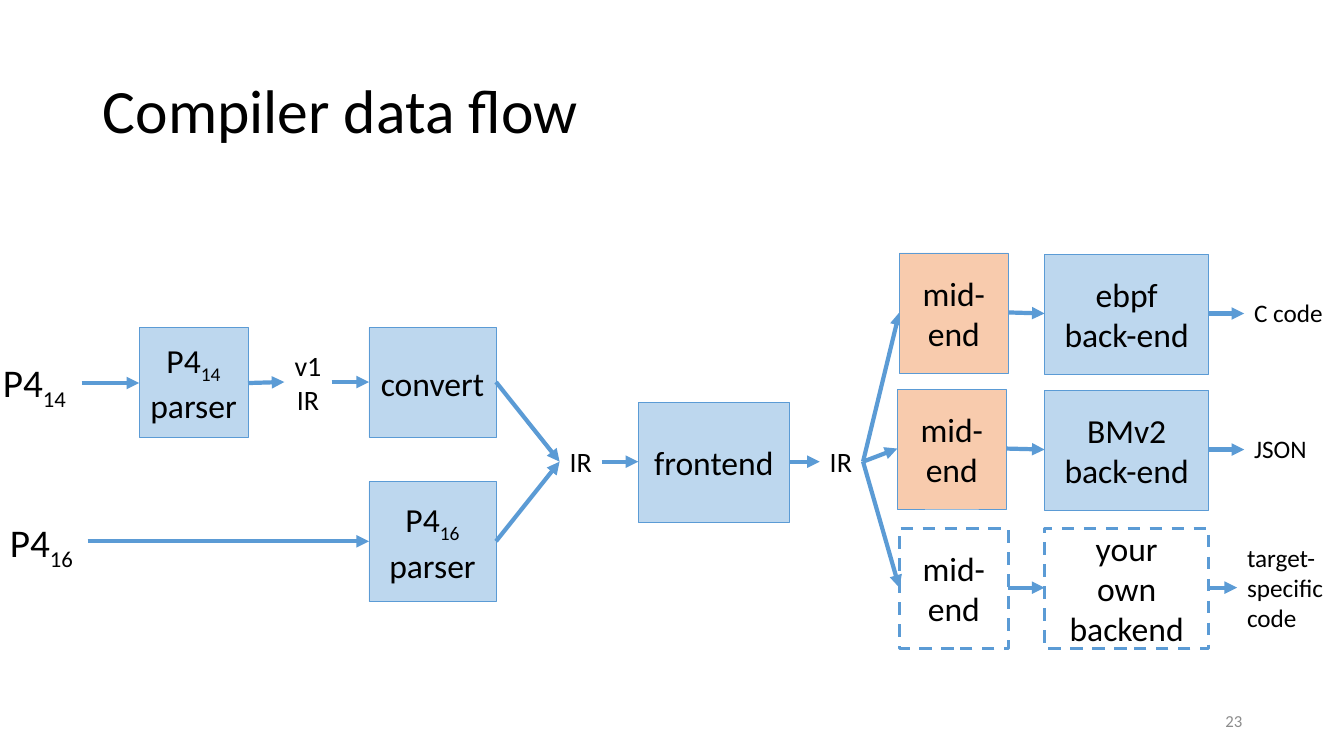
"""Build the compiler data flow slide."""
import pptx
import pptx.dml.color
import pptx.enum.dml
import pptx.enum.shapes
import pptx.enum.text
import pptx.oxml.ns
import pptx.util
from lxml import etree

Inches = pptx.util.Inches
Pt = pptx.util.Pt
RGBColor = pptx.dml.color.RGBColor
ALIGN = pptx.enum.text.PP_ALIGN
ANCHOR = pptx.enum.text.MSO_ANCHOR
AUTO = pptx.enum.text.MSO_AUTO_SIZE

BLACK = RGBColor(0x00, 0x00, 0x00)
GRAY = RGBColor(0x8C, 0x8C, 0x8C)
BLUE = RGBColor(0x5B, 0x9B, 0xD5)
PALE_BLUE = RGBColor(0xBD, 0xD7, 0xEE)
PEACH = RGBColor(0xF8, 0xCB, 0xAD)

BOX_FRAME = {"word_wrap": True, "vertical_anchor": ANCHOR.MIDDLE}
TITLE_FRAME = {**BOX_FRAME, "auto_size": AUTO.NONE}
LABEL_FRAME = {"auto_size": AUTO.SHAPE_TO_FIT_TEXT, "vertical_anchor": ANCHOR.TOP}


def apply(obj, values):
    """Set each attribute named in values."""
    for name, value in values.items():
        setattr(obj, name, value)


def write(tf, text, size, align, frame, color=BLACK):
    """Fill a frame; newline starts a paragraph, \\v a line, _ a subscript."""
    apply(tf, frame)
    for i, line in enumerate(text.split("\n")):
        p = tf.paragraphs[0] if i == 0 else tf.add_paragraph()
        base, _, sub = line.partition("_")
        p.text = base
        p.alignment = align
        if sub:
            r = p.add_run()
            r.text = sub
            r.font._element.set("baseline", "-25000")
        for r in p.runs:
            apply(r.font, {"name": "Calibri", "size": Pt(size)})
            r.font.color.rgb = color


def add_box(s, text, x, y, w, h=1.19, fill=PALE_BLUE):
    """Add a stage box, dashed and hollow when it has no fill."""
    sp = s.shapes.add_shape(pptx.enum.shapes.MSO_SHAPE.RECTANGLE,
                            Inches(x), Inches(y), Inches(w), Inches(h))
    sp.shadow.inherit = False
    sp.line.color.rgb = BLUE
    if fill is None:
        sp.fill.background()
        apply(sp.line, {"width": Pt(2.25),
                        "dash_style": pptx.enum.dml.MSO_LINE.DASH})
    else:
        sp.fill.solid()
        sp.fill.fore_color.rgb = fill
        sp.line.width = Pt(0.5)
    write(sp.text_frame, text, 24, ALIGN.CENTER, BOX_FRAME)


def add_label(s, text, x, y, w, h, size, align=ALIGN.LEFT, wrap=False):
    """Add a text label."""
    sp = s.shapes.add_textbox(Inches(x), Inches(y), Inches(w), Inches(h))
    write(sp.text_frame, text, size, align, {**LABEL_FRAME, "word_wrap": wrap})


def add_arrow(s, x1, y1, x2, y2):
    """Add an arrow from one point to another."""
    sp = s.shapes.add_connector(pptx.enum.shapes.MSO_CONNECTOR.STRAIGHT,
                                Inches(x1), Inches(y1), Inches(x2), Inches(y2))
    sp.line.color.rgb = BLUE
    sp.line.width = Pt(3)
    qn = pptx.oxml.ns.qn
    etree.SubElement(sp.line._get_or_add_ln(), qn("a:tailEnd"), type="triangle")
    etree.SubElement(sp._element.spPr, qn("a:effectLst"))


def add_title(s, text):
    """Place and format the title placeholder."""
    sp = s.shapes.title
    apply(sp, {"left": Inches(0.92), "top": Inches(0.4),
               "width": Inches(11.5), "height": Inches(1.45)})
    write(sp.text_frame, text, 44, ALIGN.LEFT, TITLE_FRAME)
    sp.text_frame.paragraphs[0].line_spacing = 0.9


def add_front(s):
    """Add the source languages, parsers and shared frontend."""
    for text, x, y, w, h in (("P4_16\nparser", 3.66, 4.78, 1.26, 1.19),
                             ("P4_14\nparser", 1.38, 3.25, 1.08, 1.09),
                             ("convert", 3.66, 3.25, 1.26, 1.09),
                             ("frontend", 6.33, 3.99, 1.5, 1.19)):
        add_box(s, text, x, y, w, h)
    add_label(s, "P4_14", -0.07, 3.51, 0.87, 0.57, 28)
    add_label(s, "P4_16", 0, 5.09, 0.87, 0.57, 28)
    add_label(s, "v1\vIR", 2.82, 3.41, 0.47, 0.77, 20, ALIGN.CENTER)
    for x in (5.55, 8.13):
        add_label(s, "IR", x, 4.36, 0.42, 0.44, 20, ALIGN.CENTER)
    for x1, y1, x2, y2 in ((0.81, 3.8, 1.38, 3.8), (0.87, 5.37, 3.66, 5.37),
                           (2.46, 3.8, 2.82, 3.79), (3.29, 3.79, 3.66, 3.79),
                           (4.92, 5.37, 5.55, 4.58), (4.92, 3.79, 5.55, 4.58),
                           (5.97, 4.58, 6.33, 4.58), (7.83, 4.58, 8.13, 4.58)):
        add_arrow(s, x1, y1, x2, y2)


def add_target(s, x, mid_y, y, mid_fill, fill, backend, out_x):
    """Add one row: mid-end, back-end and the arrows between them."""
    mid_w, back_x, back_w, half = 1.08, 10.36, 1.63, 0.59
    add_arrow(s, 8.56, 4.58, x, mid_y + half)
    add_box(s, "mid-\vend", x, mid_y, mid_w, fill=mid_fill)
    add_arrow(s, x + mid_w, mid_y + half, back_x, y + half)
    add_box(s, backend, back_x, y, back_w, fill=fill)
    add_arrow(s, back_x + back_w, y + half, out_x, y + half)


def main():
    """Build and save the slide."""
    prs = pptx.Presentation()
    apply(prs, {"slide_width": Inches(13.33), "slide_height": Inches(7.5)})
    s = prs.slides.add_slide(prs.slide_layouts.get_by_name("Title Only"))
    add_title(s, "Compiler data flow")
    add_front(s)
    add_target(s, 8.92, 2.51, 2.52, PEACH, PALE_BLUE, "ebpf\nback-end", 12.34)
    add_target(s, 8.9, 3.86, 3.87, PEACH, PALE_BLUE, "BMv2\nback-end", 12.34)
    add_target(s, 8.92, 5.24, 5.24, None, None, "your\vown\vbackend", 12.27)
    add_label(s, "C code", 12.34, 2.9, 0.89, 0.4, 18, wrap=True)
    add_label(s, "JSON", 12.34, 4.25, 0.73, 0.4, 18, wrap=True)
    add_label(s, "target-\vspecific\ncode", 12.27, 5.33, 0.97, 1.01, 18)
    sp = s.shapes.add_textbox(Inches(9.42), Inches(6.95), Inches(3), Inches(0.4))
    write(sp.text_frame, "23", 12, ALIGN.RIGHT, BOX_FRAME, GRAY)
    prs.save("out.pptx")


if __name__ == "__main__":
    main()
